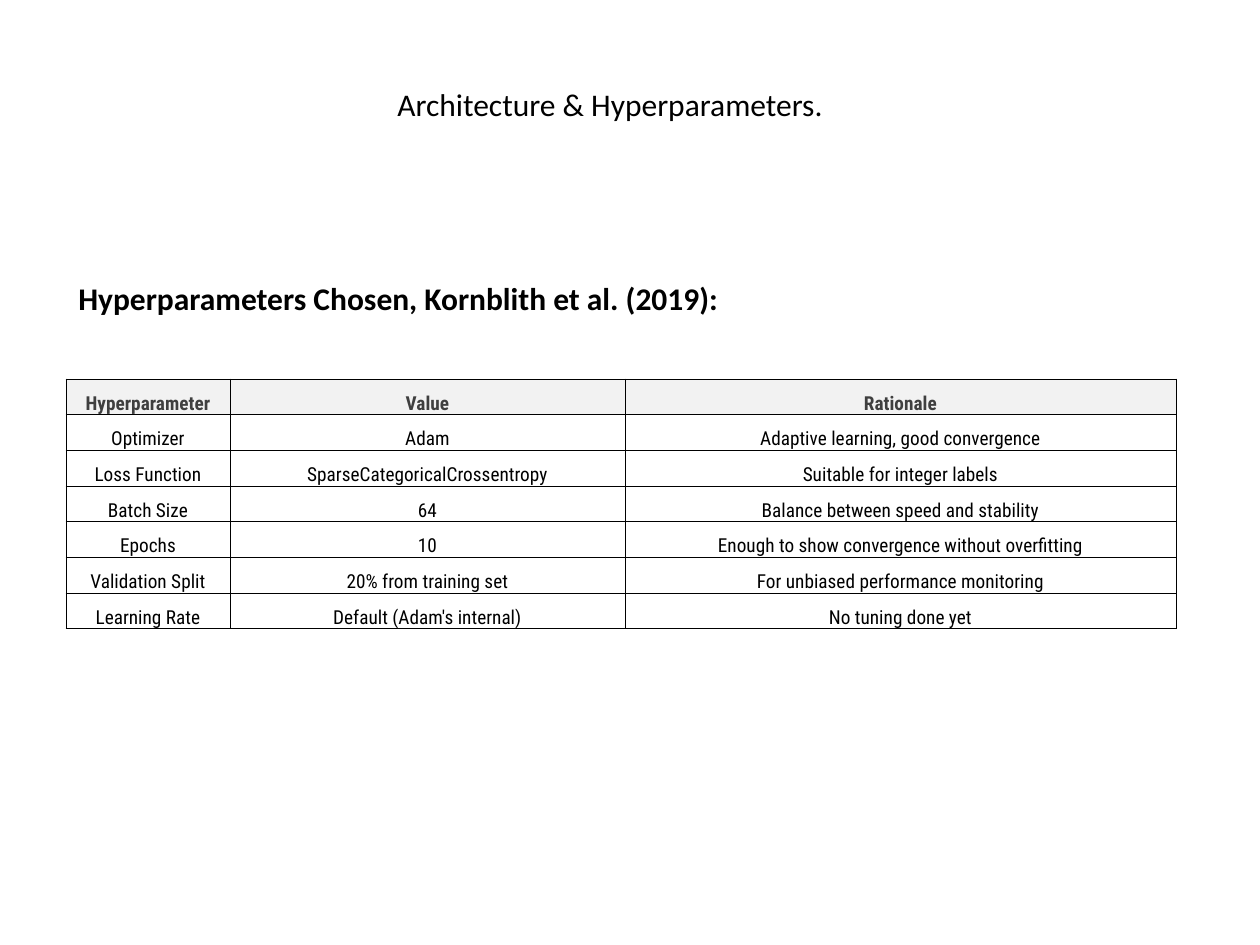
"""Build a slide that lists the chosen hyperparameters in a table."""
from dataclasses import dataclass

from lxml.etree import SubElement
from pptx import Presentation
from pptx.dml.color import RGBColor
from pptx.enum.text import MSO_ANCHOR, PP_ALIGN
from pptx.oxml.ns import qn
from pptx.util import Pt

TITLE = "Architecture & Hyperparameters."
HEADING = "Hyperparameters Chosen, Kornblith et al. (2019):"
ROWS = [
    ("Hyperparameter", "Value", "Rationale"),
    ("Optimizer", "Adam", "Adaptive learning, good convergence"),
    ("Loss Function", "SparseCategoricalCrossentropy", "Suitable for integer labels"),
    ("Batch Size", "64", "Balance between speed and stability"),
    ("Epochs", "10", "Enough to show convergence without overfitting"),
    ("Validation Split", "20% from training set", "For unbiased performance monitoring"),
    ("Learning Rate", "Default (Adam's internal)", "No tuning done yet"),
]
COLUMN_WIDTHS = (164, 395, 551)
TABLE_HEIGHT = 250


@dataclass(frozen=True)
class Theme:
    text: str = "000000"
    header_text: str = "3F3F3F"
    header_fill: str = "F2F2F2"
    border: str = "000000"
    border_width: float = 0.5
    heading_font: str = "Calibri"
    table_font: str = "Roboto Condensed"
    heading_size: int = 18
    table_size: int = 11


THEME = Theme()


def px(length):
    return round(length * 914400 / 126)


def write(frame, text, *, font, size, color=THEME.text, bold=False, align=PP_ALIGN.LEFT):
    para = frame.paragraphs[0]
    para.alignment = align
    span = para.add_run()
    span.text = text
    span.font.name = font
    span.font.size = Pt(size)
    span.font.bold = bold
    span.font.color.rgb = RGBColor.from_string(color)


def add_heading(page, text, left, top, width, height, bold=False):
    box = page.shapes.add_textbox(px(left), px(top), px(width), px(height))
    box.text_frame.word_wrap = True
    write(box.text_frame, text, font=THEME.heading_font, size=THEME.heading_size, bold=bold)


def add_borders(cell):
    properties = cell._tc.get_or_add_tcPr()
    for side in ("a:lnL", "a:lnR", "a:lnT", "a:lnB"):
        line = SubElement(properties, qn(side), w=str(Pt(THEME.border_width)))
        fill = SubElement(line, qn("a:solidFill"))
        SubElement(fill, qn("a:srgbClr"), val=THEME.border)


def format_cell(cell, text, is_header):
    cell.vertical_anchor = MSO_ANCHOR.BOTTOM
    cell.margin_left = cell.margin_right = cell.margin_top = px(1)
    cell.margin_bottom = 0
    add_borders(cell)
    if is_header:
        cell.fill.solid()
        cell.fill.fore_color.rgb = RGBColor.from_string(THEME.header_fill)
    else:
        cell.fill.background()
    write(cell.text_frame, text, font=THEME.table_font, size=THEME.table_size,
          color=THEME.header_text if is_header else THEME.text,
          bold=is_header, align=PP_ALIGN.CENTER)


def add_hyperparameter_table(page, left, top):
    table = page.shapes.add_table(
        len(ROWS), len(COLUMN_WIDTHS), px(left), px(top),
        px(sum(COLUMN_WIDTHS)), px(TABLE_HEIGHT)).table
    table.first_row = table.horz_banding = False
    for column, width in zip(table.columns, COLUMN_WIDTHS):
        column.width = px(width)
    for row_index, row in enumerate(ROWS):
        for column_index, text in enumerate(row):
            format_cell(table.cell(row_index, column_index), text, row_index == 0)


def main():
    deck = Presentation()
    deck.slide_width, deck.slide_height = px(1260), px(945)
    page = deck.slides.add_slide(deck.slide_layouts[6])
    add_heading(page, TITLE, 385, 79, 630, 51)
    add_heading(page, HEADING, 66, 273, 1172, 81, bold=True)
    add_hyperparameter_table(page, 66, 379)
    deck.save("out.pptx")


if __name__ == "__main__":
    main()
